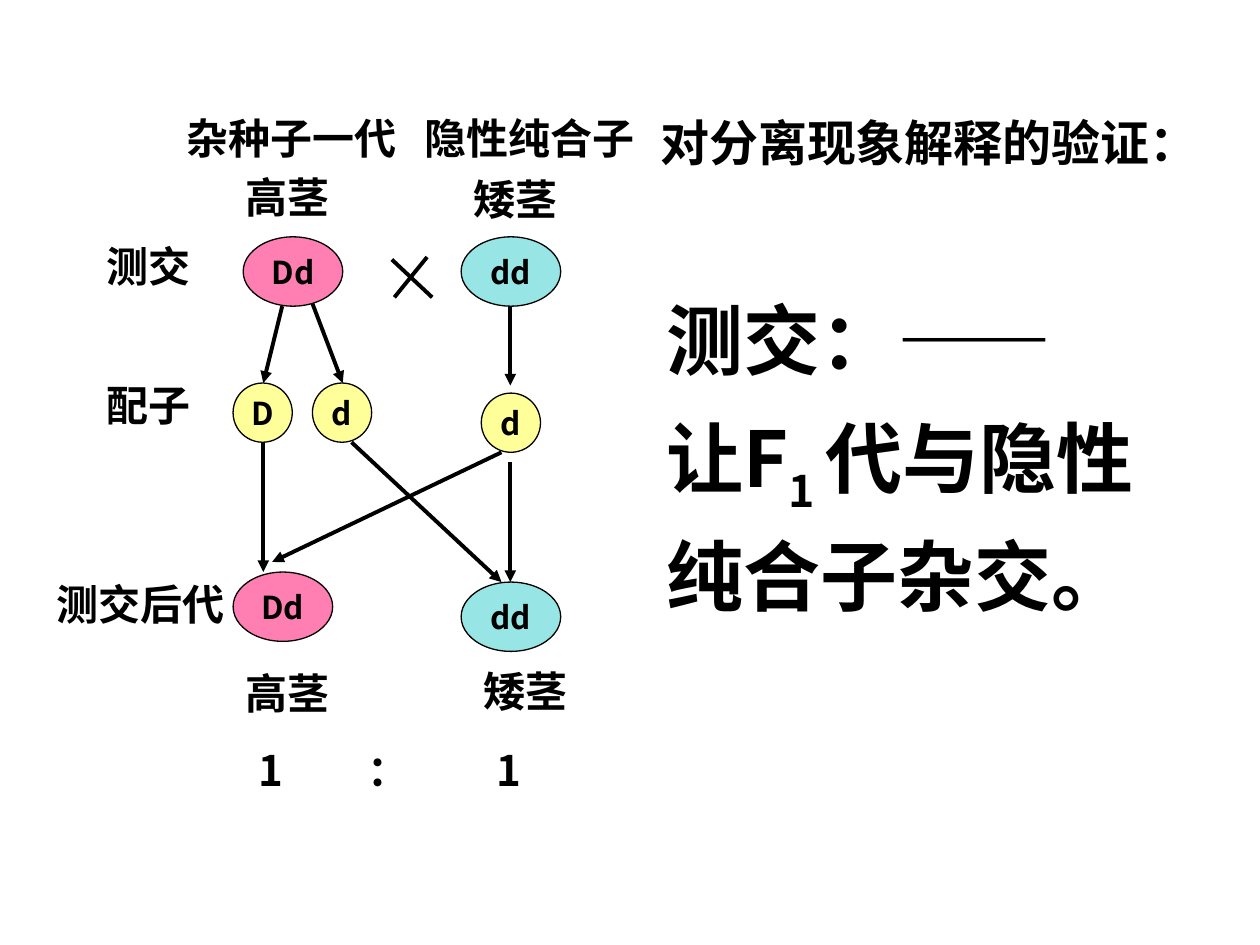
from lxml import etree
from pptx import Presentation
from pptx.dml.color import RGBColor
from pptx.enum.shapes import MSO_CONNECTOR, MSO_SHAPE
from pptx.enum.text import MSO_ANCHOR, MSO_AUTO_SIZE, PP_ALIGN
from pptx.oxml.ns import qn
from pptx.util import Inches, Pt

OVAL, STRAIGHT = MSO_SHAPE.OVAL, MSO_CONNECTOR.STRAIGHT
TOP, MIDDLE = MSO_ANCHOR.TOP, MSO_ANCHOR.MIDDLE
LEFT, CENTER = PP_ALIGN.LEFT, PP_ALIGN.CENTER
NO_FIT, GROW = MSO_AUTO_SIZE.NONE, MSO_AUTO_SIZE.SHAPE_TO_FIT_TEXT

FONT = "Noto Sans CJK SC"
BLACK = RGBColor(0x00, 0x00, 0x00)
PINK = RGBColor(0xFF, 0x00, 0x66)
TEAL = RGBColor(0x33, 0xCC, 0xCC)
YELLOW = RGBColor(0xFF, 0xFF, 0x99)

# Content: each paragraph is a list of (text, baseline shift)
HEADING = "对分离现象解释的验证："
DEFINITION = [
    [("测交：——", 0)],
    [("让F", 0), ("1 ", -25000), ("代与隐性纯合子杂交。", 0)],
]
RATIO = "1\t：\t1"
RATIO_TABS = (0.87, 1.89)

# Labels: text, left, top, width
LABELS = [
    ("杂种子一代", 1.38, 0.84, 1.88),
    ("隐性纯合子", 3.27, 0.84, 1.88),
    ("高茎", 1.85, 1.31, 0.87),
    ("矮茎", 3.66, 1.33, 0.87),
    ("测交", 0.75, 1.86, 0.87),
    ("配子", 0.75, 2.96, 0.87),
    ("测交后代", 0.35, 4.54, 1.54),
    ("高茎", 1.85, 5.25, 0.87),
    ("矮茎", 3.74, 5.23, 0.87),
]

# Genotypes: text, left, top, colour
PLANT_SIZE, GAMETE_SIZE = (0.79, 0.55), (0.47, 0.47)
PLANTS = [
    ("Dd", 1.93, 1.88, PINK),
    ("dd", 3.66, 1.88, TEAL),
    ("Dd", 1.85, 4.54, PINK),
    ("dd", 3.66, 4.62, TEAL),
]
GAMETES = [
    ("D", 1.85, 3.04, YELLOW),
    ("d", 2.48, 3.04, YELLOW),
    ("d", 3.82, 3.12, YELLOW),
]

# Lines: x1, y1, x2, y2
ARROWS = [
    (2.24, 2.43, 2.09, 3.04),
    (2.48, 2.41, 2.72, 3.04),
    (4.05, 2.43, 4.05, 3.06),
    (2.09, 3.51, 2.09, 4.54),
    (2.79, 3.51, 3.98, 4.62),
    (3.98, 3.59, 2.16, 4.46),
    (4.05, 3.67, 4.05, 4.62),
]
CROSS = [(3.39, 2.04, 3.13, 2.36), (3.11, 2.06, 3.43, 2.36)]


def write(paragraph, text, size=24, align=LEFT, baseline=0):
    paragraph.alignment = align
    run = paragraph.add_run()
    run.text = text
    font = run.font
    font.name, font.size, font.bold = FONT, Pt(size), True
    font.color.rgb = BLACK
    properties = run._r.get_or_add_rPr()
    etree.SubElement(properties, qn("a:ea")).set("typeface", FONT)
    if baseline:
        properties.set("baseline", str(baseline))


def place(shape, left, top, width, height):
    shape.left, shape.top = Inches(left), Inches(top)
    shape.width, shape.height = Inches(width), Inches(height)


def add_label(slide, text, left, top, width, wrap=False):
    box = slide.shapes.add_textbox(Inches(left), Inches(top), Inches(width), Inches(0.5))
    frame = box.text_frame
    frame.word_wrap, frame.auto_size = wrap, GROW
    write(frame.paragraphs[0], text)
    return frame.paragraphs[0]


def add_genotype(slide, text, left, top, color, size, alpha=None):
    oval = slide.shapes.add_shape(OVAL, Inches(left), Inches(top), *map(Inches, size))
    oval.shadow.inherit = False
    oval.fill.solid()
    oval.fill.fore_color.rgb = color
    if alpha:
        tint = oval._element.spPr.find(qn("a:solidFill")).find(qn("a:srgbClr"))
        etree.SubElement(tint, qn("a:alpha")).set("val", str(alpha))
    oval.line.color.rgb, oval.line.width = BLACK, Pt(0.75)
    frame = oval.text_frame
    frame.word_wrap, frame.vertical_anchor = False, MIDDLE
    write(frame.paragraphs[0], text, size=18, align=CENTER)


def add_line(slide, ends, arrow=False):
    line = slide.shapes.add_connector(STRAIGHT, *map(Inches, ends))
    line.line.color.rgb, line.line.width = BLACK, Pt(2.25)
    if arrow:
        etree.SubElement(line.line._get_or_add_ln(), qn("a:tailEnd")).set("type", "triangle")
    etree.SubElement(line._element.spPr, qn("a:effectLst"))


def main():
    deck = Presentation()
    deck.slide_width, deck.slide_height = Inches(10), Inches(7.5)
    slide = deck.slides.add_slide(deck.slide_layouts[1])
    title, body = slide.placeholders

    # Heading
    place(title, 5.14, 0.84, 4.69, 0.57)
    heading = title.text_frame
    heading.vertical_anchor, heading.auto_size = TOP, GROW
    write(heading.paragraphs[0], HEADING, size=28)

    # Definition, starting level with the first cross
    place(body, 5.19, 1.31, 4.08, 4.78)
    definition = body.text_frame
    definition.auto_size, definition.margin_top = NO_FIT, Inches(0.91)
    for index, runs in enumerate(DEFINITION):
        paragraph = definition.add_paragraph() if index else definition.paragraphs[0]
        paragraph.line_spacing = Pt(60)
        paragraph.space_before = Pt(15 * index)
        properties = paragraph._p.get_or_add_pPr()
        properties.set("marL", "0")
        properties.set("indent", "0")
        etree.SubElement(properties, qn("a:buNone"))
        for text, baseline in runs:
            write(paragraph, text, size=44, baseline=baseline)

    # Cross diagram
    for ends in ARROWS:
        add_line(slide, ends, arrow=True)
    for ends in CROSS:
        add_line(slide, ends)
    for plant in PLANTS:
        add_genotype(slide, *plant, PLANT_SIZE, alpha=50000)
    for gamete in GAMETES:
        add_genotype(slide, *gamete, GAMETE_SIZE)
    for label in LABELS:
        add_label(slide, *label)

    # Ratio of the offspring
    ratio = add_label(slide, RATIO, 1.95, 5.86, 2.55, wrap=True)
    stops = etree.SubElement(ratio._p.get_or_add_pPr(), qn("a:tabLst"))
    for position in RATIO_TABS:
        stop = etree.SubElement(stops, qn("a:tab"))
        stop.set("pos", str(Inches(position)))
        stop.set("algn", "l")

    deck.save("out.pptx")


if __name__ == "__main__":
    main()
